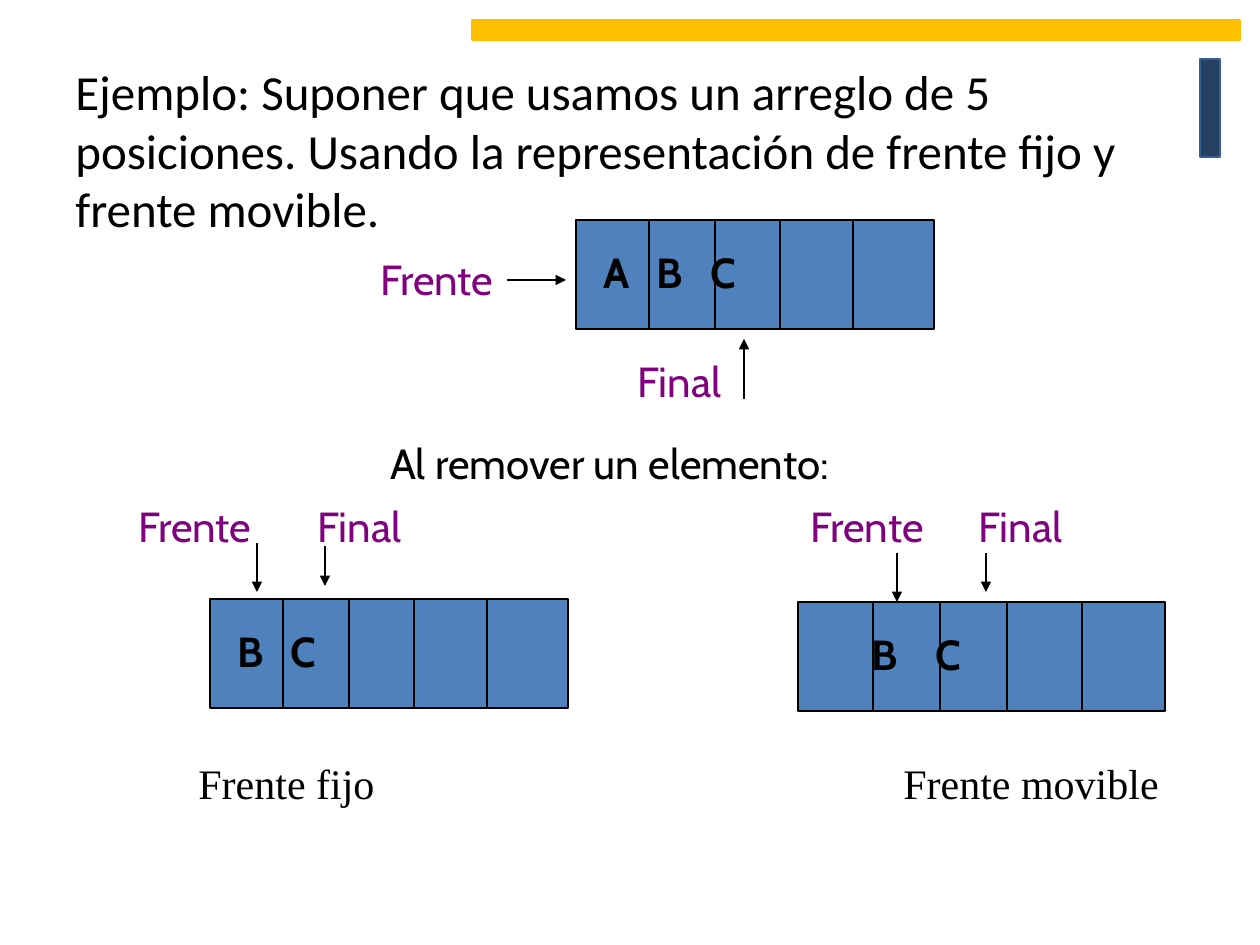
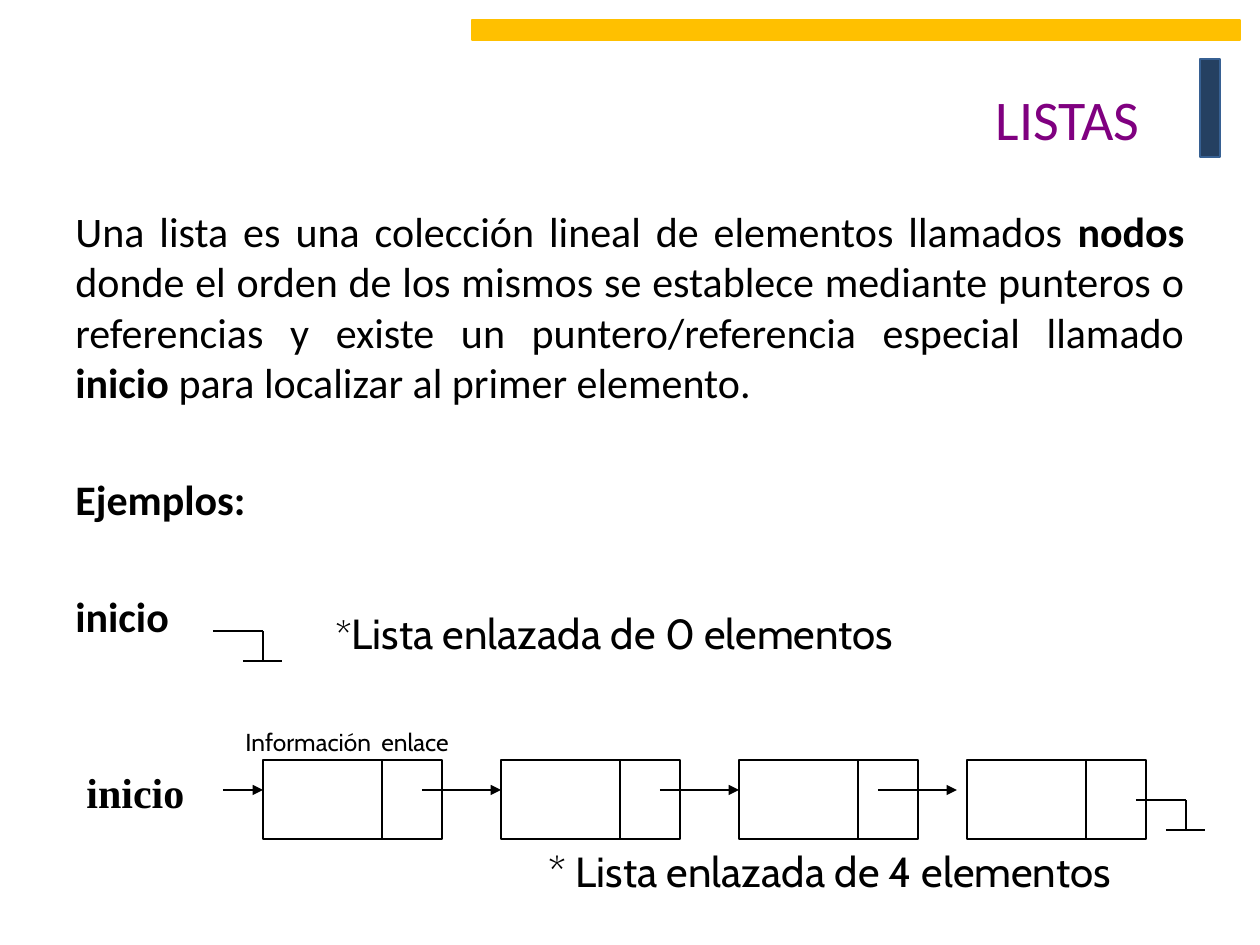
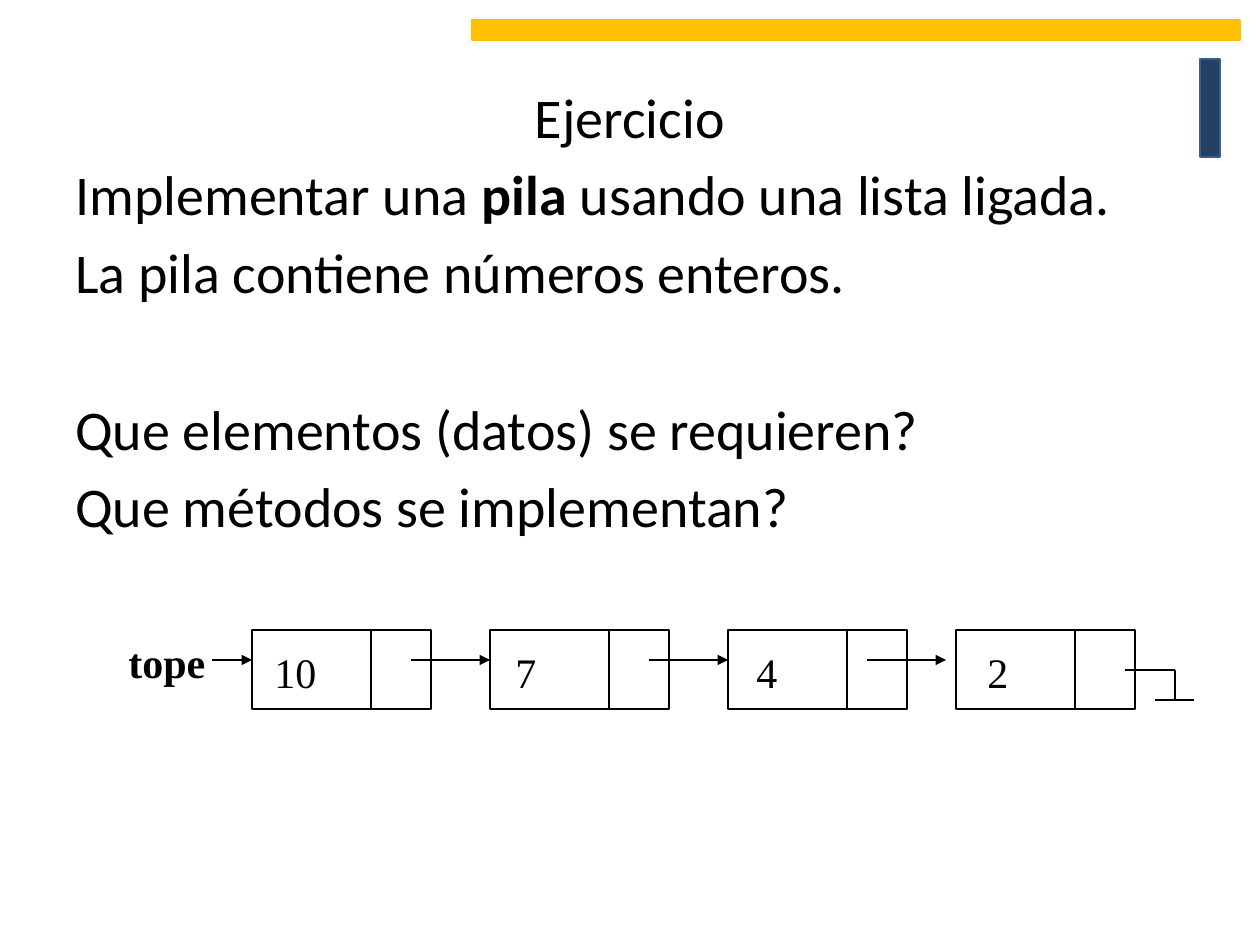
from lxml.etree import SubElement
from pptx import Presentation
from pptx.dml.color import RGBColor
from pptx.enum.shapes import MSO_CONNECTOR as Conn, MSO_SHAPE as Shape
from pptx.enum.text import MSO_ANCHOR as Anchor, PP_ALIGN as Align
from pptx.oxml.ns import qn
from pptx.util import Emu, Pt

BLACK, PURPLE, BLUE = "000000", "800080", "4F81BD"
NAVY, EDGE, GOLD = "254061", "376092", "FFC000"
SANS, CABIN, SERIF = "Calibri", "Cabin", "Times New Roman"
SCALE = 914400 / 126


def px(n):
    return Emu(round(n * SCALE))


def rgb(code):
    return RGBColor.from_string(code)


class Deck:
    """Holds the style and the slide being drawn."""

    def __init__(self):
        self.prs = Presentation()
        self.prs.slide_width, self.prs.slide_height = px(1260), px(945)
        self.slide = None

    def page(self, title=None):
        """Start a slide with its two bands and, if given, a title."""
        layout = self.prs.slide_layouts[5 if title else 6]
        self.slide = self.prs.slides.add_slide(layout)
        self.rect(1200, 59, 20, 98, NAVY, EDGE)
        self.rect(472, 20, 768, 20, GOLD, GOLD)
        if title:
            head = self.slide.shapes.title
            spots = {"left": 94, "top": 84, "width": 1071, "height": 69}
            for key, val in spots.items():
                setattr(head, key, px(val))
            head.text_frame.vertical_anchor = Anchor.MIDDLE
            self.para(head.text_frame.paragraphs[0], [title], SANS, 32,
                      PURPLE, align=Align.RIGHT)

    def rect(self, x, y, w, h, fill=None, line=BLACK):
        box = self.slide.shapes.add_shape(
            Shape.RECTANGLE, px(x), px(y), px(w), px(h))
        box.shadow.inherit = False
        if fill:
            box.fill.solid()
            box.fill.fore_color.rgb = rgb(fill)
        else:
            box.fill.background()
        box.line.color.rgb = rgb(line)
        box.line.width = Pt(0.75)

    def line(self, x1, y1, x2, y2, arrow=False):
        link = self.slide.shapes.add_connector(
            Conn.STRAIGHT, px(x1), px(y1), px(x2), px(y2))
        link.line.color.rgb = rgb(BLACK)
        link.line.width = Pt(0.75)
        props = link.line._get_or_add_ln()
        if arrow:
            SubElement(props, qn("a:tailEnd"), type="triangle")
        SubElement(link._element.spPr, qn("a:effectLst"))

    def para(self, par, runs, font, size, color, bold=False, **style):
        """Fill a paragraph; a run is a string or (string, font values)."""
        for key, val in ({"alignment": style.get("align"),
                          "space_before": style.get("gap")}).items():
            setattr(par, key, val)
        for item in runs:
            words, own = (item, {}) if isinstance(item, str) else item
            run = par.add_run()
            run.text = words
            look = {"name": font, "size": Pt(size), "bold": bold} | own
            for key, val in look.items():
                setattr(run.font, key, val)
            run.font.color.rgb = rgb(color)

    def text(self, x, y, w, h, paras, font=CABIN, size=24, color=BLACK,
             bold=False, tabs=()):
        """Add a text box; paras is a string or a list of (runs, style)."""
        box = self.slide.shapes.add_textbox(px(x), px(y), px(w), px(h))
        frame = box.text_frame
        frame.word_wrap = True
        if isinstance(paras, str):
            paras = [([paras], {})]
        for i, (runs, style) in enumerate(paras):
            par = frame.add_paragraph() if i else frame.paragraphs[0]
            self.para(par, runs, font, size, color, bold, **style)
            if tabs:
                stops = SubElement(par._p.get_or_add_pPr(), qn("a:tabLst"))
                for stop in tabs:
                    SubElement(stops, qn("a:tab"), pos=str(px(stop)), algn="l")

    def label(self, x, y, words):
        self.text(x, y, 149, 63, words, color=PURPLE)

    def queue(self, x, y, w, words, tabs):
        """Draw a five-cell array with its letters set on tab stops."""
        self.rect(x, y, w, 109, BLUE)
        self.text(x + 15, y + 20, w - 15, 63, words, bold=True, tabs=tabs)
        for cut in (73, 139, 204, 277):
            mid = x + round(cut * w / 358)
            self.line(mid, y, mid, y + 109)

    def ground(self, x, y):
        """Draw the null mark that ends a list."""
        self.line(x, y, x + 50, y)
        self.line(x + 50, y, x + 50, y + 30)
        self.line(x + 30, y + 30, x + 69, y + 30)

    def chain(self, x, y):
        """Draw four linked nodes, each with a data and a link part."""
        for step in (0, 238, 476, 704):
            self.rect(x + step, y, 179, 79)
            self.line(x + step + 119, y, x + step + 119, y + 79)
        for tip, size in ((0, 40), (238, 79), (476, 79), (694, 79)):
            self.line(x + tip - size, y + 30, x + tip, y + 30, True)
        self.ground(x + 873, y + 40)


def queues(deck):
    deck.page()
    deck.text(63, 55, 1134, 784,
              "Ejemplo: Suponer que usamos un arreglo de 5 posiciones. Usando "
              "la representación de frente fijo y frente movible.", SANS, 28)
    deck.queue(576, 220, 358, "A\tB\tC", (53, 107))
    deck.queue(798, 602, 367, "\tB\tC", (46, 110))
    deck.queue(210, 599, 358, "B\tC", (53,))
    deck.text(378, 431, 512, 63, "Al remover un elemento:")
    for x, y, words in ((368, 247, "Frente"), (625, 349, "Final"),
                        (798, 494, "Frente"), (966, 494, "Final"),
                        (126, 494, "Frente"), (305, 494, "Final")):
        deck.label(x, y, words)
    for ends in ((507, 280, 566, 280), (744, 399, 744, 339),
                 (897, 553, 897, 602), (986, 553, 986, 592),
                 (257, 543, 257, 592), (325, 546, 325, 586)):
        deck.line(*ends, arrow=True)
    deck.text(186, 751, 210, 63, "Frente fijo", SERIF)
    deck.text(891, 751, 290, 63, "Frente movible", SERIF)


def lists(deck):
    deck.page("LISTAS ")
    strong = {"bold": True}
    just = {"align": Align.JUSTIFY}
    apart = just | {"gap": Pt(38)}
    deck.text(63, 199, 1134, 525, [
        (["Una lista es una colección lineal de elementos llamados",
          (" nodos ", strong),
          "donde el orden de los mismos se establece mediante punteros o "
          "referencias y existe un puntero/referencia especial llamado ",
          ("inicio", strong), " para localizar al primer elemento."], just),
        ([("Ejemplos:", strong)], apart),
        ([("inicio", strong)], apart)], SANS)
    deck.ground(213, 631)
    deck.text(323, 601, 764, 63,
              [([("*", {"size": Pt(22)}), "Lista enlazada de 0 elementos"], {})])
    deck.text(74, 760, 159, 63, "inicio", SERIF, bold=True)
    deck.chain(263, 760)
    deck.text(536, 839, 660, 63, "* Lista enlazada de 4 elementos")
    deck.text(233, 721, 287, 42, "Información\tenlace", size=14, tabs=(136,))


def stack(deck):
    deck.page()
    near, far = {"gap": Pt(6)}, {"gap": Pt(51)}
    deck.text(63, 76, 1134, 765, [
        (["Ejercicio"], {"align": Align.CENTER}),
        (["Implementar una ", ("pila", {"bold": True}),
          " usando una lista ligada."], near),
        (["La pila contiene números enteros."], near),
        (["Que elementos (datos) se requieren?"], far),
        (["Que métodos se implementan?"], near)], SANS, 32)
    deck.text(116, 630, 106, 63, "tope", SERIF, bold=True)
    deck.chain(252, 630)
    deck.text(262, 640, 780, 63, "10\t7\t4\t2", SERIF, tabs=(241, 482, 713))


def main():
    deck = Deck()
    for draw in (queues, lists, stack):
        draw(deck)
    deck.prs.save("out.pptx")


if __name__ == "__main__":
    main()
